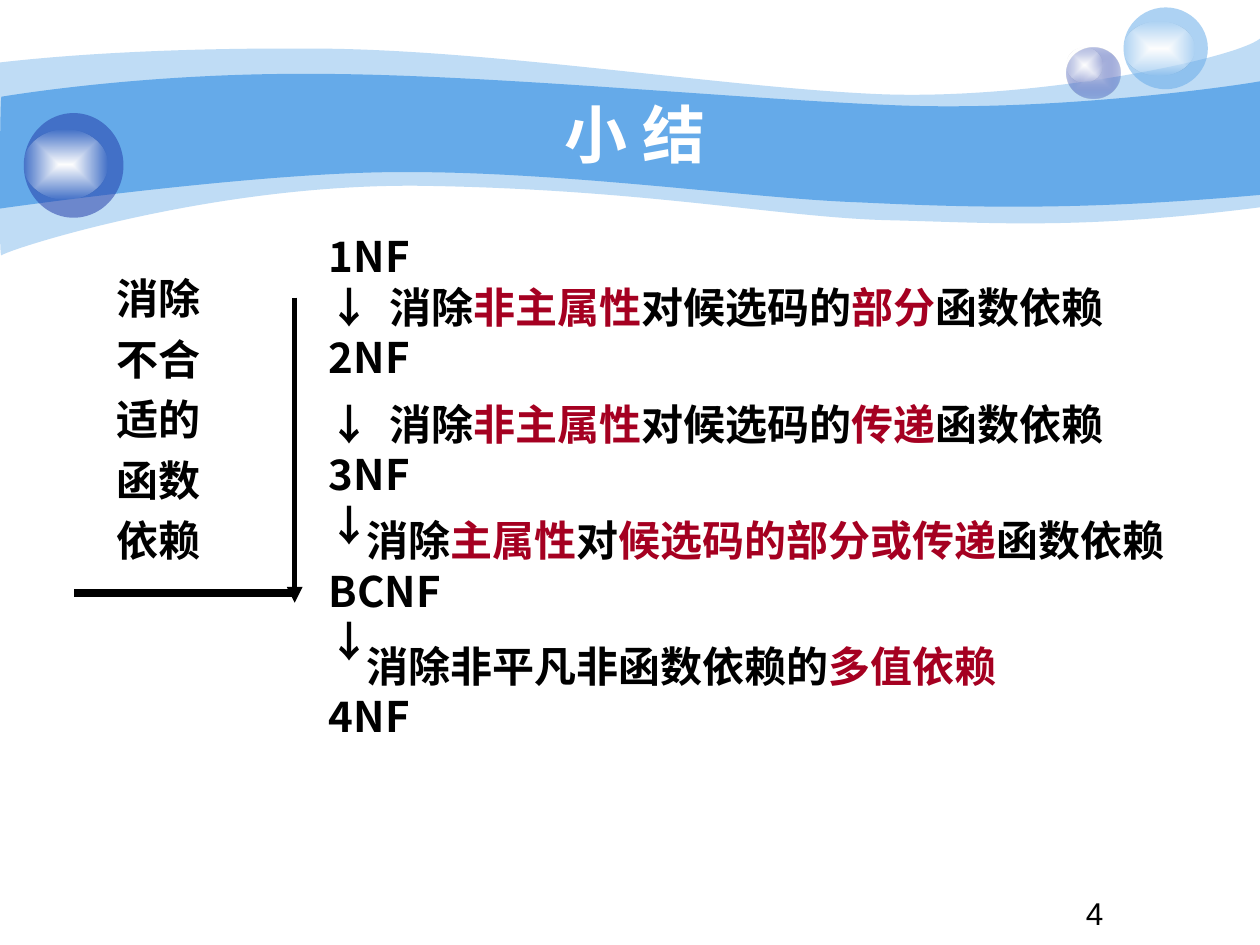
import pptx
import pptx.dml.color
import pptx.enum.shapes
import pptx.enum.text
import pptx.oxml.ns
import pptx.util
from lxml import etree

Cm = pptx.util.Cm
Pt = pptx.util.Pt
RGB = pptx.dml.color.RGBColor
ALIGN = pptx.enum.text.PP_ALIGN
qn = pptx.oxml.ns.qn

SKY = RGB(0x65, 0xAA, 0xE9)
NAVY = RGB(0x23, 0x3D, 0xA9)
LAVENDER = RGB(0xC6, 0xCC, 0xE8)
WHITE = RGB(0xFF, 0xFF, 0xFF)
BLACK = RGB(0, 0, 0)
CRIMSON = RGB(0xA5, 0x00, 0x21)
CJK = "Noto Sans CJK SC"

# Band edges in cm from the band's corner: start point, then three points per curve
PALE_TOP = [(0, .48), (.61, .41), (2.72, .18), (6.27, .2), (9.8, .2), (14.61, .99),
            (17.75, 1.12), (20.88, 1.24), (24.89, .41), (25.4, 0)]
PALE_BOTTOM = [(25.4, 3.4), (21.79, 3.86), (19.99, 3.71), (17.91, 3.66), (15.8, 3.61),
               (13.08, 3.05), (8.71, 2.97), (4.37, 2.87), (.1, 4.27), (.03, 4.37),
               (-.03, 4.5), (0, 1.12), (0, .48)]
DEEP_TOP = [(.03, 1.17), (.05, 1.17), (2.79, .69), (6.3, .71), (9.8, .71), (15.11, 1.24),
            (18.24, 1.35), (21.36, 1.45), (24.79, .97), (25.4, .86)]
DEEP_BOTTOM = [(25.4, 3.15), (21.67, 3.48), (19.43, 3.4), (17.32, 3.3), (15.21, 3.23),
               (11.35, 2.67), (8.05, 2.69), (5.16, 2.69), (-.05, 3.43), (-.03, 3.43),
               (0, 3.43), (0, 1.17), (.03, 1.17)]

# Each step box: top in cm and its lines; every second part between bars is accented
STEPS = [
    (4.53, ["1NF", "↓\t消除|非主属性|对候选码的|部分|函数依赖", "2NF"]),
    (7.91, ["↓\t消除|非主属性|对候选码的|传递|函数依赖", "3NF", "↓"]),
    (10.25, ["消除|主属性|对|候选码的部分或传递|函数依赖", "BCNF", "↓"]),
    (12.78, ["消除非平凡非函数依赖的|多值依赖", "4NF"]),
]


def write(paragraph, text, size=24, font=CJK, bold=True, color=BLACK, accent=CRIMSON,
          align=None, spacing=None):
    paragraph.alignment = align
    paragraph.line_spacing = spacing
    for index, part in enumerate(text.split("|")):
        run = paragraph.add_run()
        run.text = part
        run.font.size = Pt(size)
        run.font.bold = bold
        run.font.color.rgb = accent if index % 2 else color
        run.font.name = font
        run.font._element.set("kern", "0")
        etree.SubElement(run.font._element, qn("a:ea")).set("typeface", CJK)


def text_frame(slide, left, top, width, height, wrap=True):
    frame = slide.shapes.add_textbox(Cm(left), Cm(top), Cm(width), Cm(height)).text_frame
    frame.word_wrap = wrap
    return frame


def set_alpha(color_element, percent):
    etree.SubElement(color_element, qn("a:alpha")).set("val", str(percent * 1000))


def fill_solid(shape, color, opacity=100):
    shape.shadow.inherit = False
    shape.line.fill.background()
    shape.fill.solid()
    shape.fill.fore_color.rgb = color
    if opacity < 100:
        solid = shape._element.spPr.find(qn("a:solidFill"))
        set_alpha(solid[0], opacity)


def fill_glow(shape, inner, outer, outer_opacity):
    """Gradient from the centre to the edges of the shape."""
    shape.shadow.inherit = False
    shape.line.fill.background()
    shape.fill.gradient()
    for stop, color in zip(shape.fill.gradient_stops, (inner, outer)):
        stop.color.rgb = color
    gradient = shape._element.spPr.find(qn("a:gradFill"))
    set_alpha(gradient.findall(".//" + qn("a:srgbClr"))[-1], outer_opacity)
    gradient.remove(gradient.find(qn("a:lin")))
    centre = etree.SubElement(gradient, qn("a:path"))
    centre.set("path", "rect")
    focus = etree.SubElement(centre, qn("a:fillToRect"))
    for side in "ltrb":
        focus.set(side, "50000")


def bend(segments):
    """Turn each three line segments into one cubic curve."""
    for first in range(0, len(segments), 3):
        curve = etree.Element(qn("a:cubicBezTo"))
        segments[first].addprevious(curve)
        for segment in segments[first:first + 3]:
            curve.append(segment[0])
            segment.getparent().remove(segment)


def add_band(slide, left, top):
    for upper, lower, opacity in ((PALE_TOP, PALE_BOTTOM, 41), (DEEP_TOP, DEEP_BOTTOM, 100)):
        outline = [(Cm(left + x), Cm(top + y)) for x, y in upper + lower]
        builder = slide.shapes.build_freeform(*outline[0])
        builder.add_line_segments(outline[1:], close=True)
        wave = builder.convert_to_shape()
        segments = wave._element.spPr.findall(".//" + qn("a:lnTo"))
        straight = len(upper) - 1  # the drop at the right edge
        bend(segments[:straight])
        bend(segments[straight + 1:len(outline) - 1])
        fill_solid(wave, SKY, opacity)


def add_bubble(slide, left, top, width, height, shine, color=None):
    """A ball with a bright spot; shine is the spot's top offset, width and height."""
    oval = pptx.enum.shapes.MSO_SHAPE.OVAL
    group = slide.shapes.add_group_shape().shapes
    ball = group.add_shape(oval, Cm(left), Cm(top), Cm(width), Cm(height))
    if color is None:
        fill_glow(ball, LAVENDER, NAVY, 31)
    else:
        fill_solid(ball, color, 53)
    offset, shine_width, shine_height = shine
    spot = group.add_shape(oval, Cm(left), Cm(top + offset), Cm(shine_width), Cm(shine_height))
    fill_glow(spot, WHITE, WHITE, 0)


def add_title(slide, left, top, width, height):
    title = slide.shapes.title
    title.left, title.top, title.width, title.height = map(Cm, (left, top, width, height))
    title.text_frame.vertical_anchor = pptx.enum.text.MSO_ANCHOR.MIDDLE
    write(title.text_frame.paragraphs[0], "小 结", size=36, font="Arial", color=WHITE,
          align=ALIGN.CENTER)
    slide.shapes._spTree.append(title._element)  # in front of the band


def add_steps(slide, left, width):
    for top, lines in STEPS:
        frame = text_frame(slide, left, top, width, 0.25 + 1.02 * len(lines))
        for index, line in enumerate(lines):
            paragraph = frame.paragraphs[0] if index == 0 else frame.add_paragraph()
            # Arrow lines hang up to the tab; explanations stand further in
            margin, indent = 1.07, 0
            if "\t" in line:
                margin, indent = 2.3, -1.23
            elif line.startswith("消除"):
                margin = 1.83
            properties = paragraph._p.get_or_add_pPr()
            properties.set("marL", str(Cm(margin)))
            properties.set("indent", str(Cm(indent)))
            write(paragraph, line, align=ALIGN.JUSTIFY)


def add_rule(slide, start, end, weight, arrow=False):
    rule = slide.shapes.add_connector(pptx.enum.shapes.MSO_CONNECTOR.STRAIGHT,
                                      *map(Cm, start + end))
    rule.line.color.rgb = BLACK
    rule.line.width = Pt(weight)
    if arrow:
        etree.SubElement(rule.line._get_or_add_ln(), qn("a:tailEnd")).set("type", "triangle")
    etree.SubElement(rule._element.spPr, qn("a:effectLst"))


def add_goal(slide, left, top):
    """The overall aim on the left, with its corner arrow."""
    corner = left + 4.44
    add_rule(slide, (left, top + 6.78), (corner, top + 6.78), 4.5)
    add_rule(slide, (corner, top + 0.83), (corner, top + 6.98), 3, arrow=True)
    frame = text_frame(slide, left + 0.6, top, 2.6, 6.35)
    write(frame.paragraphs[0], "消除不合适的函数依赖", spacing=1.2)


def add_page_number(slide, left, top):
    frame = text_frame(slide, left, top, 5.31, 0.94, wrap=False)
    write(frame.paragraphs[0], "4", size=18, font="Arial", bold=False, spacing=0.9,
          align=ALIGN.LEFT)


def main():
    deck = pptx.Presentation()
    deck.slide_width, deck.slide_height = Cm(25.4), Cm(19.05)
    slide = deck.slides.add_slide(deck.slide_layouts[5])
    # Background
    add_band(slide, 0, 0.78)
    add_bubble(slide, 21.51, 0.97, 1.07, 1.02, (0, 0.71, 0.69))
    add_bubble(slide, 22.65, 0.15, 1.7, 1.65, (0.28, 1.42, 1.09), SKY)
    add_bubble(slide, 0.48, 2.28, 2.01, 2.11, (0.33, 1.68, 1.42), NAVY)
    # Content
    add_page_number(slide, 21.64, 17.98)
    add_title(slide, 2.54, 1.91, 20.52, 1.57)
    add_steps(slide, 5.31, 19.89)
    add_goal(slide, 1.5, 5.17)
    deck.save("out.pptx")


if __name__ == "__main__":
    main()
